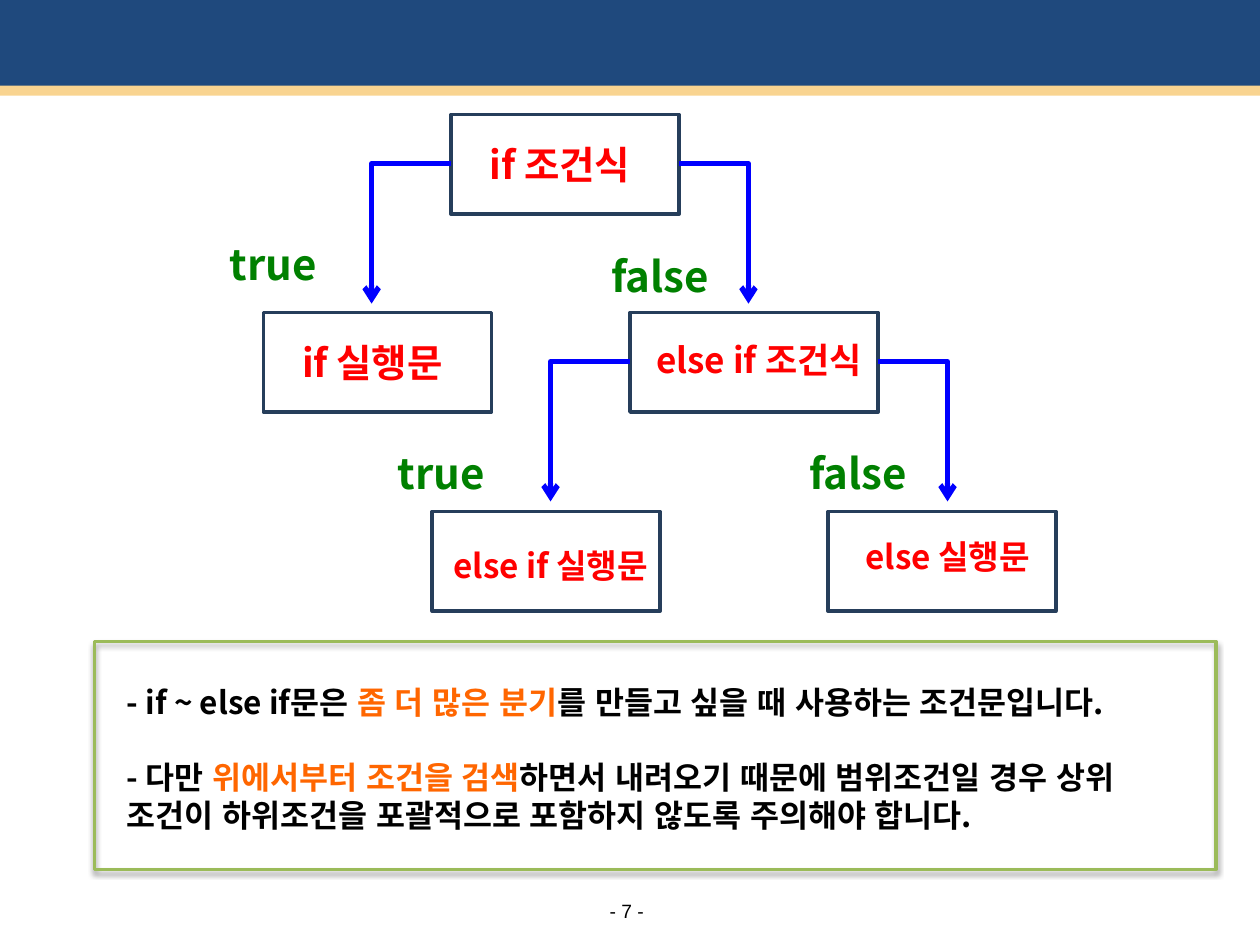
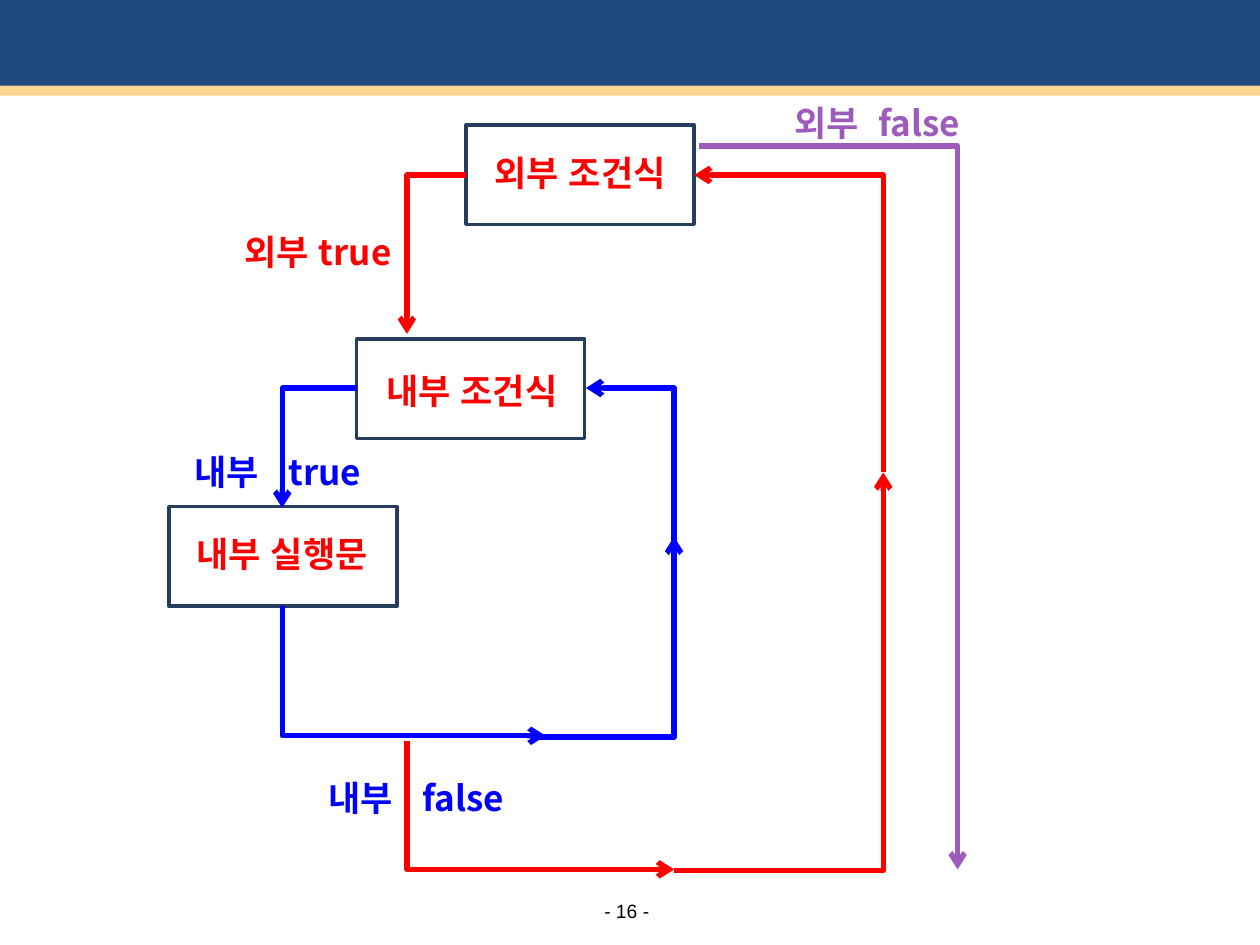
from dataclasses import dataclass
from typing import Optional

from lxml.etree import SubElement
from pptx import Presentation
from pptx.dml.color import RGBColor
from pptx.enum.shapes import MSO_CONNECTOR as Link, MSO_SHAPE as Preset
from pptx.enum.text import MSO_ANCHOR as Anchor, PP_ALIGN as Align
from pptx.oxml.ns import qn
from pptx.util import Inches, Pt

NAVY, SAND = "1F497D", "F9D490"
FRAME, GREEN_FRAME = "263E5B", "9BBB59"
RED, BLUE, GREEN, PURPLE = "FF0000", "0000FF", "008000", "9D5CBB"
BLACK, ORANGE = "000000", "FF6600"
KOREAN, LATIN = "Noto Sans CJK KR", "Arial"
BOX_W, BOX_H = 1.81, 0.79


@dataclass(frozen=True)
class Piece:
    """A run of text with its colour and extra letter spacing in points."""
    text: str
    color: str
    spacing: float = 0


@dataclass(frozen=True)
class Step:
    """A framed step of the flow."""
    left: float
    top: float
    width: float = BOX_W


@dataclass(frozen=True)
class Label:
    """A centred caption; gap widens the space between its two words."""
    text: str
    left: float
    top: float
    width: float
    size: float = 20
    color: str = RED
    gap: float = 0


@dataclass(frozen=True)
class Flow:
    """An arrow with one corner."""
    start: tuple[float, float]
    end: tuple[float, float]
    color: str = BLUE
    vertical_first: bool = False


@dataclass(frozen=True)
class Page:
    """The content of one slide."""
    number: int
    steps: list[Step]
    labels: list[Label]
    flows: list[Flow]
    notes: Optional[list[list[Piece]]] = None


def rgb(value: str) -> RGBColor:
    """Turn a hex string into a colour."""
    return RGBColor.from_string(value)


def add_run(paragraph, piece: Piece, size: float, name: str = KOREAN, bold: bool = True) -> None:
    """Append a formatted run whose spaces between Korean words are Arial wide."""
    run = paragraph.add_run()
    run.text = piece.text
    for key, value in {"size": Pt(size), "name": name, "bold": bold}.items():
        setattr(run.font, key, value)
    run.font.color.rgb = rgb(piece.color)
    properties = run.font._element
    SubElement(properties, qn("a:ea")).set("typeface", LATIN)
    if piece.spacing:
        properties.set("spc", str(int(piece.spacing * 100)))


def add_text_frame(slide, left: float, top: float, width: float, height: float, **settings):
    """Add a text box and return its frame with the given settings."""
    frame = slide.shapes.add_textbox(*map(Inches, (left, top, width, height))).text_frame
    for key, value in {"word_wrap": True, **settings}.items():
        setattr(frame, key, value)
    return frame


def add_band(slide, top: float, height: float, color: str) -> None:
    """Draw a full-width filled band."""
    band = slide.shapes.add_shape(Preset.RECTANGLE, 0, Inches(top), Inches(10), Inches(height))
    band.shadow.inherit = False
    band.fill.solid()
    band.fill.fore_color.rgb = rgb(color)
    band.line.fill.background()


def add_frame(slide, left: float, top: float, width: float, height: float, color: str):
    """Draw an unfilled process outline."""
    outline = slide.shapes.add_shape(
        Preset.FLOWCHART_PROCESS, *map(Inches, (left, top, width, height)))
    outline.shadow.inherit = False
    outline.fill.background()
    outline.line.color.rgb = rgb(color)
    outline.line.width = Pt(2)
    return outline


def add_label(slide, label: Label) -> None:
    """Write a centred caption."""
    frame = add_text_frame(slide, label.left, label.top, label.width, label.size / 50 + 0.03)
    paragraph = frame.paragraphs[0]
    paragraph.alignment = Align.CENTER
    if not label.gap:
        add_run(paragraph, Piece(label.text, label.color), label.size)
        return
    first, second = label.text.split(" ")
    for piece in (Piece(first, label.color), Piece(" ", label.color, label.gap),
                  Piece(second, label.color)):
        add_run(paragraph, piece, label.size)


def add_flow(slide, flow: Flow) -> None:
    """Draw a cornered arrow, turned by 270 degrees when it sets off vertically."""
    points = [flow.start, flow.end]
    if flow.vertical_first:
        mid_x, mid_y = (sum(axis) / 2 for axis in zip(*points))
        points = [(mid_x - (y - mid_y), mid_y + (x - mid_x)) for x, y in points]
    arrow = slide.shapes.add_connector(
        Link.ELBOW, *(Inches(value) for point in points for value in point))
    arrow.line.color.rgb = rgb(flow.color)
    arrow.line.width = Pt(3)
    SubElement(arrow.line._get_or_add_ln(), qn("a:tailEnd")).set("type", "arrow")
    properties = arrow._element.spPr
    properties.find(qn("a:prstGeom")).set("prst", "bentConnector2")
    if flow.vertical_first:
        properties.find(qn("a:xfrm")).set("rot", str(270 * 60000))
    SubElement(properties, qn("a:effectLst"))


def add_notes_panel(slide, notes: list[list[Piece]]) -> None:
    """Write the explanation and its softly shadowed frame."""
    frame = add_text_frame(slide, 0.91, 5.37, 8.74, 1.29)
    for index, pieces in enumerate(notes):
        paragraph = frame.add_paragraph() if index else frame.paragraphs[0]
        if index:
            paragraph.space_before = Pt(21.5)
        for piece in pieces:
            add_run(paragraph, piece, 18)
    panel = add_frame(slide, 0.75, 5.09, 8.9, 1.81, GREEN_FRAME)
    shadow = SubElement(panel._element.spPr.find(qn("a:effectLst")), qn("a:outerShdw"))
    for key, value in {"blurRad": Pt(3.1), "dist": Pt(1.8), "dir": 90 * 60000,
                       "rotWithShape": 0}.items():
        shadow.set(key, str(int(value)))
    tint = SubElement(shadow, qn("a:srgbClr"), val=BLACK)
    SubElement(tint, qn("a:alpha"), val="35000")


def add_page(deck, page: Page) -> None:
    """Build one slide with the shared bands and page number."""
    slide = deck.slides.add_slide(deck.slide_layouts[6])
    add_band(slide, -0.03, 0.76, NAVY)
    margins = dict.fromkeys(("margin_left", "margin_top", "margin_right", "margin_bottom"), 0)
    footer = add_text_frame(slide, 4.76, 7.13, 0.43, 0.19, **margins,
                            vertical_anchor=Anchor.MIDDLE)
    footer.word_wrap = False
    footer.paragraphs[0].alignment = Align.CENTER
    add_run(footer.paragraphs[0], Piece(f"- {page.number} -", BLACK), 11, LATIN, False)
    add_band(slide, 0.68, 0.08, SAND)
    if page.notes:
        add_notes_panel(slide, page.notes)
    for step in page.steps:
        add_frame(slide, step.left, step.top, step.width, BOX_H, FRAME)
    for flow in page.flows:
        add_flow(slide, flow)
    for label in page.labels:
        add_label(slide, label)


BRANCHING = Page(
    7,
    steps=[Step(3.58, 0.91), Step(2.09, 2.48), Step(5, 2.48, 1.97),
           Step(3.43, 4.06), Step(6.57, 4.06)],
    labels=[
        Label("if 조건식", 3.58, 1.07, 1.73, 22),
        Label("if 실행문", 2.09, 2.64, 1.73, 22),
        Label("else if 조건식", 5, 2.64, 2.05),
        Label("else if 실행문", 3.27, 4.28, 2.2, 19),
        Label("else 실행문", 6.42, 4.21, 2.2, 19),
        Label("true", 1.54, 1.84, 1.26, 24, GREEN),
        Label("true", 2.87, 3.5, 1.26, 24, GREEN),
        Label("false", 4.61, 1.94, 1.26, 24, GREEN),
        Label("false", 6.18, 3.5, 1.26, 24, GREEN),
    ],
    flows=[
        Flow((5.39, 1.3), (5.94, 2.41)),
        Flow((3.58, 1.3), (2.95, 2.41)),
        Flow((5, 2.87), (4.37, 3.98)),
        Flow((6.97, 2.87), (7.52, 3.98)),
    ],
    notes=[
        [Piece("- if ~ else if문은 ", BLACK), Piece("좀 더 많은 분기", ORANGE),
         Piece("를 만들고 싶을 때 사용하는 조건문입니다.", BLACK)],
        [Piece("- 다만 ", BLACK), Piece("위에서부터 조건을 검색", ORANGE),
         Piece("하면서 내려오기 때문에 범위조건일 경우 상위 조건이 하위조건을 "
               "포괄적으로 포함하지 않도록 주의해야 합니다.", BLACK)],
    ],
)

NESTED_LOOP = Page(
    16,
    steps=[Step(2.83, 2.69), Step(1.34, 4.02), Step(3.7, 0.99)],
    labels=[
        Label("내부 조건식", 2.68, 2.88, 2.13),
        Label("내부 실행문", 0.98, 4.18, 2.52),
        Label("외부 조건식", 3.54, 1.15, 2.13),
        Label("외부 true", 1.54, 1.78, 1.97),
        Label("내부 true", 1.22, 3.53, 1.97, color=BLUE, gap=11),
        Label("외부 false", 5.98, 0.76, 1.97, color=PURPLE, gap=5.5),
        Label("내부 false", 2.32, 6.11, 1.97, color=BLUE, gap=11),
    ],
    flows=[
        Flow((2.83, 3.08), (2.24, 4.03)),
        Flow((2.24, 4.81), (4.33, 5.84), vertical_first=True),
        Flow((4.25, 5.85), (5.35, 4.26)),
        Flow((5.35, 4.42), (4.65, 3.08), vertical_first=True),
        Flow((3.7, 1.39), (3.23, 2.65), RED),
        Flow((3.23, 5.88), (5.35, 6.9), RED, True),
        Flow((5.35, 6.91), (7.01, 3.75), RED),
        Flow((7.01, 3.75), (5.51, 1.39), RED, True),
        Flow((5.55, 1.16), (7.6, 6.9), PURPLE),
    ],
)


def main() -> None:
    """Build and save the presentation."""
    deck = Presentation()
    deck.slide_width, deck.slide_height = Inches(10), Inches(7.5)
    for page in (BRANCHING, NESTED_LOOP):
        add_page(deck, page)
    deck.save("out.pptx")


if __name__ == "__main__":
    main()
